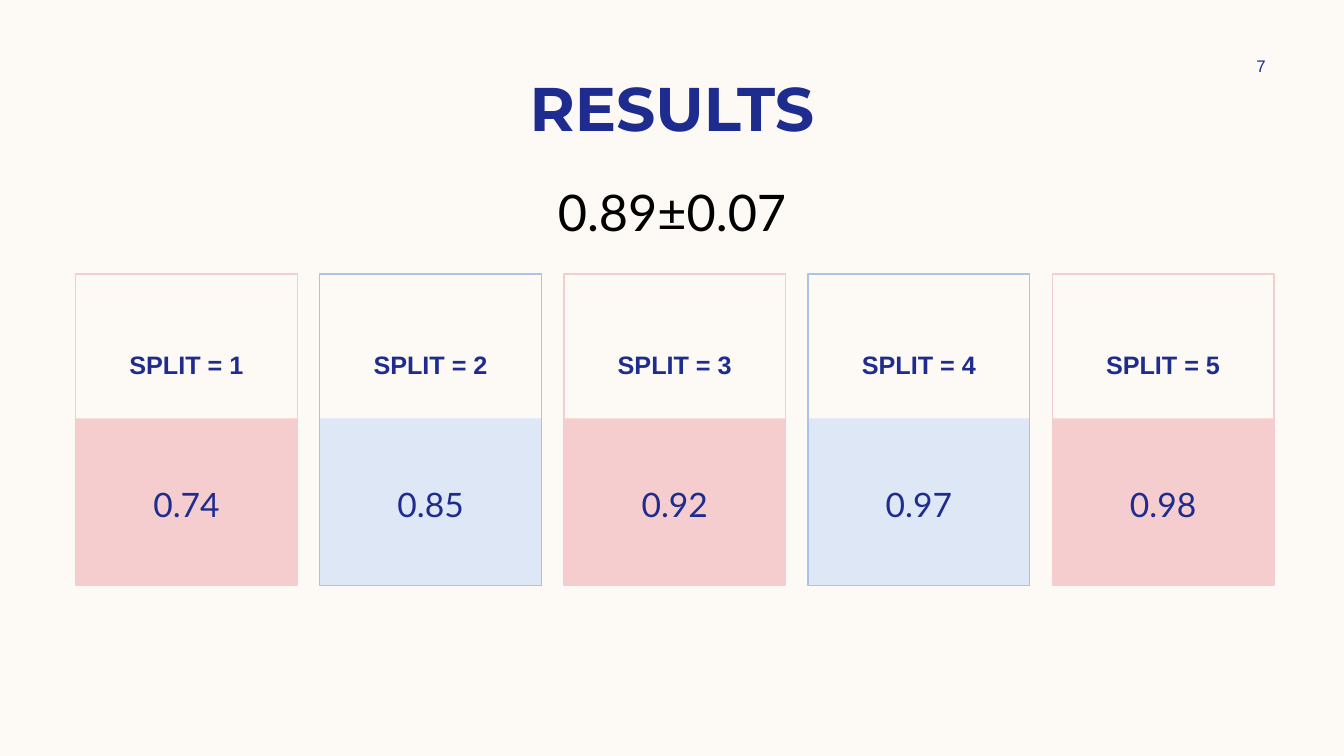
from dataclasses import dataclass

from pptx import Presentation
from pptx.dml.color import RGBColor
from pptx.enum import shapes, text
from pptx.util import Pt

TITLE = "RESULTS"
PAGE_NUMBER = "7"
MEAN_SCORE = "0.89±0.07"
SPLITS = [
    ("SPLIT = 1", "0.74"),
    ("SPLIT = 2", "0.85"),
    ("SPLIT = 3", "0.92"),
    ("SPLIT = 4", "0.97"),
    ("SPLIT = 5", "0.98"),
]


@dataclass(frozen=True)
class Theme:
    background: str = "FDFAF6"
    navy: str = "1F2C8F"
    black: str = "000000"
    bands: tuple = ("F5CDCE", "DDE7F6")
    frames: tuple = ("F5CDCE", "AAC3E8")
    title_font: str = "Montserrat"
    label_font: str = "Arial"
    number_font: str = "Lato"
    title_size: int = 44
    mean_size: int = 36
    score_size: int = 24
    label_size: int = 18
    page_size: int = 12


THEME = Theme()

# Card geometry in points
CARD_LEFT, CARD_TOP = 54, 195.8
CARD_WIDTH, CARD_HEIGHT = 158.4, 222.5
CARD_PITCH = 174.4
BAND_TOP = 298.8
BAND_HEIGHT = CARD_TOP + CARD_HEIGHT - BAND_TOP
SCORE_INSET, SCORE_TOP, SCORE_HEIGHT = 3.6, 306, 108


def color(value):
    return RGBColor.from_string(value)


def points(*lengths):
    return [Pt(length) for length in lengths]


def write(shape, content, font, size, ink=THEME.navy, bold=False,
          anchor=text.MSO_ANCHOR.TOP, margin_top=3.6):
    frame = shape.text_frame
    frame_format = {
        "word_wrap": True,
        "auto_size": text.MSO_AUTO_SIZE.NONE,
        "vertical_anchor": anchor,
        "margin_left": Pt(7.2),
        "margin_right": Pt(7.2),
        "margin_top": Pt(margin_top),
        "margin_bottom": Pt(3.6),
    }
    for name, value in frame_format.items():
        setattr(frame, name, value)
    paragraph = frame.paragraphs[0]
    paragraph.alignment = text.PP_ALIGN.CENTER
    run = paragraph.add_run()
    run.text = content
    for name, value in {"name": font, "size": Pt(size), "bold": bold}.items():
        setattr(run.font, name, value)
    run.font.color.rgb = color(ink)


def add_text(slide, box, *args, **formats):
    write(slide.shapes.add_textbox(*points(*box)), *args, **formats)


def add_rectangle(slide, box, fill=None, line=None):
    shape = slide.shapes.add_shape(shapes.MSO_SHAPE.RECTANGLE, *points(*box))
    shape.shadow.inherit = False
    for part, value in ((shape.fill, fill), (shape.line.fill, line)):
        if value:
            part.solid()
            part.fore_color.rgb = color(value)
        else:
            part.background()
    if line:
        shape.line.width = Pt(1)
    return shape


def add_split_card(slide, index, label, score):
    """Draw a tinted score band, then the outlined card and its text."""
    left = CARD_LEFT + index * CARD_PITCH
    tone = index % 2
    add_rectangle(slide, (left, BAND_TOP, CARD_WIDTH, BAND_HEIGHT),
                  fill=THEME.bands[tone])
    card = add_rectangle(slide, (left, CARD_TOP, CARD_WIDTH, CARD_HEIGHT),
                         line=THEME.frames[tone])
    write(card, label, THEME.label_font, THEME.label_size, bold=True,
          margin_top=54)
    score_box = (left + SCORE_INSET, SCORE_TOP,
                 CARD_WIDTH - 2 * SCORE_INSET, SCORE_HEIGHT)
    add_text(slide, score_box, score, THEME.number_font, THEME.score_size,
             anchor=text.MSO_ANCHOR.MIDDLE)


def main():
    presentation = Presentation()
    presentation.slide_width, presentation.slide_height = points(960, 540)
    slide = presentation.slides.add_slide(presentation.slide_layouts[5])
    slide.background.fill.solid()
    slide.background.fill.fore_color.rgb = color(THEME.background)

    title = slide.shapes.title
    title.left, title.top, title.width, title.height = points(60, 46, 840, 60.5)
    write(title, TITLE, THEME.title_font, THEME.title_size, bold=True)

    add_text(slide, (861.8, 36, 77.8, 21.6), PAGE_NUMBER, THEME.label_font,
             THEME.page_size, anchor=text.MSO_ANCHOR.MIDDLE)
    for index, (label, score) in enumerate(SPLITS):
        add_split_card(slide, index, label, score)
    add_text(slide, (240, 126, 480, 51), MEAN_SCORE, THEME.number_font,
             THEME.mean_size, ink=THEME.black)

    presentation.save("out.pptx")


if __name__ == "__main__":
    main()
